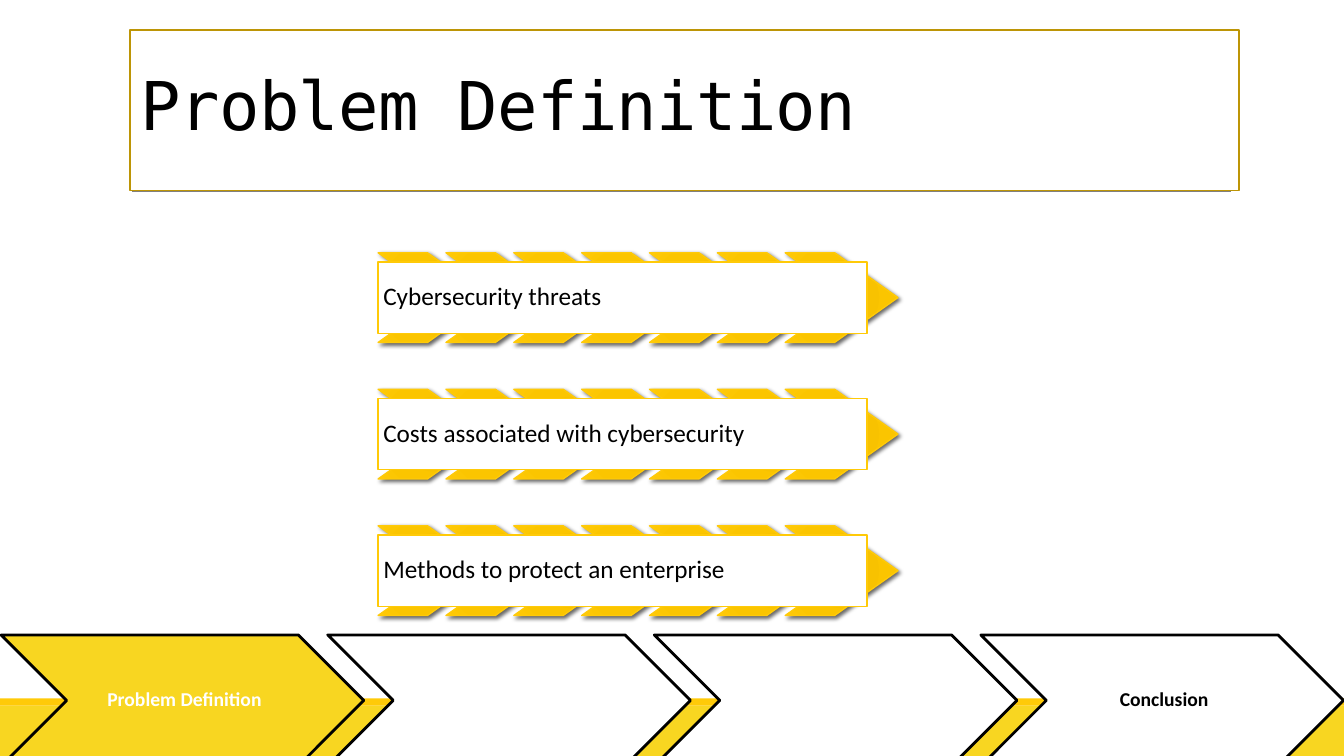
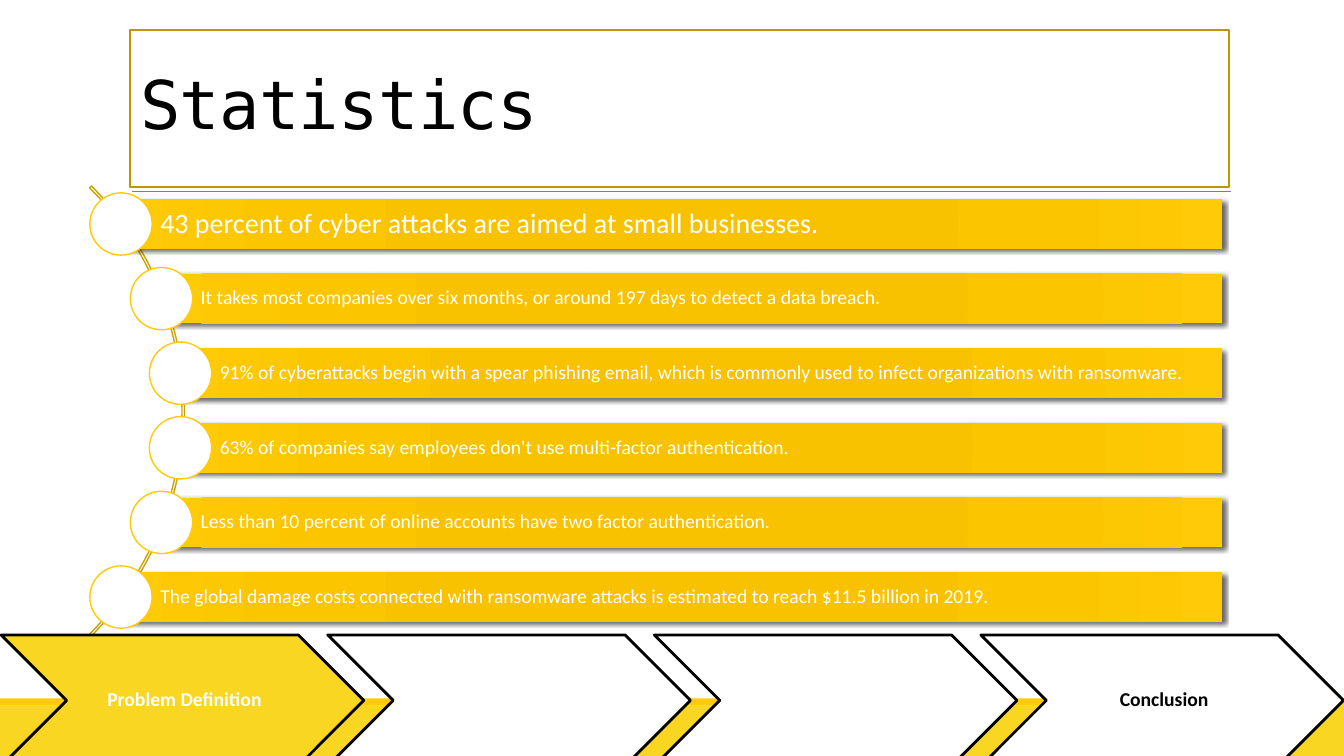
from pptx import Presentation
from pptx.dml.color import RGBColor
from pptx.enum.shapes import MSO_CONNECTOR, MSO_SHAPE
from pptx.enum.text import MSO_ANCHOR, PP_ALIGN
from pptx.oxml import parse_xml
from pptx.oxml.ns import nsdecls, qn
from pptx.util import Cm, Pt

BLACK = RGBColor(0x00, 0x00, 0x00)
WHITE = RGBColor(0xFF, 0xFF, 0xFF)
GREY = RGBColor(0x80, 0x80, 0x80)
YELLOW = RGBColor(0xF8, 0xD6, 0x21)
AMBER = RGBColor(0xFF, 0xCA, 0x08)
TITLE_EDGE = RGBColor(0xBD, 0x95, 0x06)
ARC_EDGE = RGBColor(0xCC, 0xA2, 0x06)
GLOW_STOPS = [(0, "F5C000"), (34, "F8C200"), (70, "FBC500"), (100, "FFCA08")]

SLIDE_WIDTH, SLIDE_HEIGHT = 33.87, 19.05

TITLE_FORMAT = {
    "frame": {"margin_left": Cm(0.25), "margin_right": Cm(0.25)},
    "paragraph": {"alignment": PP_ALIGN.LEFT, "line_spacing": 0.85},
    "font": {"name": "DejaVu Sans Mono", "size": Pt(48)},
}
STEP_FORMAT = {
    "frame": {"margin_left": Cm(0.15), "margin_right": Cm(0.05)},
    "paragraph": {"alignment": PP_ALIGN.CENTER, "line_spacing": 0.9},
    "font": {"name": "Calibri", "size": Pt(14), "bold": True},
}
TOPIC_FORMAT = {
    "frame": {"margin_left": Cm(0.13), "margin_right": Cm(0.13)},
    "paragraph": {"alignment": PP_ALIGN.LEFT, "line_spacing": 0.9},
    "font": {"name": "Calibri", "size": Pt(18)},
}
FACT_FORMAT = {
    "frame": {"margin_left": Cm(0.99), "margin_right": Cm(0.1)},
    "paragraph": {"alignment": PP_ALIGN.LEFT, "line_spacing": 0.9},
    "font": {"name": "Calibri"},
}


def add_part(slide, preset, box, fill=None, edge=None, edge_width=1):
    part = slide.shapes.add_shape(preset, *[Cm(length) for length in box])
    part.shadow.inherit = False
    properties = part._element.spPr
    if fill == "glow":
        part.fill.gradient()
        stops = "".join(
            f'<a:gs pos="{position * 1000}"><a:srgbClr val="{colour}"/></a:gs>'
            for position, colour in GLOW_STOPS
        )
        glow = parse_xml(
            f'<a:gradFill {nsdecls("a")} rotWithShape="1"><a:gsLst>{stops}</a:gsLst>'
            '<a:path path="circle"><a:fillToRect l="100000" t="100000" '
            'r="100000" b="100000"/></a:path></a:gradFill>'
        )
        properties.replace(properties.find(qn("a:gradFill")), glow)
        properties.find(qn("a:effectLst")).append(parse_xml(
            f'<a:outerShdw {nsdecls("a")} blurRad="{Pt(3)}" dist="{Pt(2)}" '
            'dir="2700000" rotWithShape="0"><a:srgbClr val="000000">'
            '<a:alpha val="60000"/></a:srgbClr></a:outerShdw>'
        ))
    elif fill is None:
        part.fill.background()
    else:
        part.fill.solid()
        part.fill.fore_color.rgb = fill
    if edge is None:
        part.line.fill.background()
    else:
        part.line.color.rgb = edge
        part.line.width = Pt(edge_width)
    return part


def write(part, words, style, colour):
    frame = part.text_frame
    frame.word_wrap = True
    frame.vertical_anchor = MSO_ANCHOR.MIDDLE
    frame.margin_top = frame.margin_bottom = Cm(0.05)
    paragraph = frame.paragraphs[0]
    run = paragraph.add_run()
    run.text = words
    run.font.color.rgb = colour
    for target, key in [(frame, "frame"), (paragraph, "paragraph"), (run.font, "font")]:
        for attribute, value in style[key].items():
            setattr(target, attribute, value)
    return run


deck = Presentation()
deck.slide_width, deck.slide_height = Cm(SLIDE_WIDTH), Cm(SLIDE_HEIGHT)

titles = [("Problem Definition", 27.94, 4.04), ("Statistics", 27.69, 3.96)]
for title, width, height in titles:
    slide = deck.slides.add_slide(deck.slide_layouts[6])
    add_part(slide, MSO_SHAPE.RECTANGLE, (0, 17.78, SLIDE_WIDTH, 1.27), YELLOW)
    add_part(slide, MSO_SHAPE.RECTANGLE, (0, 17.6, SLIDE_WIDTH, 0.18), AMBER)
    title_rule = slide.shapes.add_connector(
        MSO_CONNECTOR.STRAIGHT, Cm(3.33), Cm(4.83), Cm(31.01), Cm(4.83)
    )
    title_rule.line.color.rgb = GREY
    title_rule.line.width = Pt(0.5)
    title_rule._element.spPr.append(parse_xml(f'<a:effectLst {nsdecls("a")}/>'))
    title_box = add_part(
        slide, MSO_SHAPE.RECTANGLE, (3.28, 0.76, width, height), WHITE, TITLE_EDGE, 1.25
    )
    heading = write(title_box, title, TITLE_FORMAT, BLACK)
    heading.font._element.set("spc", "-50")

problem_slide, statistics_slide = deck.slides

topics = [
    "Cybersecurity threats",
    "Costs associated with cybersecurity",
    "Methods to protect an enterprise",
]
topic_left = 9.53
for row, topic in enumerate(topics):
    top = 6.37 + 3.44 * row
    for column in range(7):
        chevron = add_part(
            problem_slide, MSO_SHAPE.CHEVRON,
            (topic_left + 1.71 * column, top, 2.84, 2.26), "glow", AMBER,
        )
        chevron.adjustments[0] = 0.706
    topic_box = add_part(
        problem_slide, MSO_SHAPE.RECTANGLE, (topic_left, top + 0.23, 12.32, 1.8), WHITE, AMBER
    )
    write(topic_box, topic, TOPIC_FORMAT, BLACK)

arc = add_part(
    statistics_slide, MSO_SHAPE.BLOCK_ARC, (-11.38, 2.34, 16.03, 16.03), edge=ARC_EDGE
)
for index, value in enumerate([189, 27, 0.004]):
    arc.adjustments[index] = value

facts = [
    (3.05, 20, "43 percent of cyber attacks are aimed at small businesses."),
    (4.07, 14, "It takes most companies over six months, or around 197 days to detect a data breach."),
    (4.55, 14, "91% of cyberattacks begin with a spear phishing email, which is commonly used to "
               "infect organizations with ransomware."),
    (4.55, 14, "63% of companies say employees don't use multi-factor authentication."),
    (4.07, 14, "Less than 10 percent of online accounts have two factor authentication."),
    (3.05, 14, "The global damage costs connected with ransomware attacks is estimated to reach "
               "$11.5 billion in 2019."),
]
bar_right, bar_height, bead = 30.8, 1.25, 1.57
for row, (left, size, fact) in enumerate(facts):
    top = 5.02 + 1.88 * row
    bar = add_part(
        statistics_slide, MSO_SHAPE.RECTANGLE, (left, top, bar_right - left, bar_height), "glow"
    )
    write(bar, fact, FACT_FORMAT, WHITE).font.size = Pt(size)
    add_part(
        statistics_slide, MSO_SHAPE.OVAL,
        (left - bead / 2, top + (bar_height - bead) / 2, bead, bead), WHITE, AMBER,
    )

steps = [
    ("Problem Definition", YELLOW, WHITE),
    ("", WHITE, BLACK),
    ("", WHITE, BLACK),
    ("Conclusion", WHITE, BLACK),
]
for slide in deck.slides:
    for position, (step, fill, colour) in enumerate(steps):
        step_chevron = add_part(
            slide, MSO_SHAPE.CHEVRON, (0.03 + 8.23 * position, 16, 9.14, 3.3), fill, BLACK, 2
        )
        if step:
            write(step_chevron, step, STEP_FORMAT, colour)

deck.save("out.pptx")
